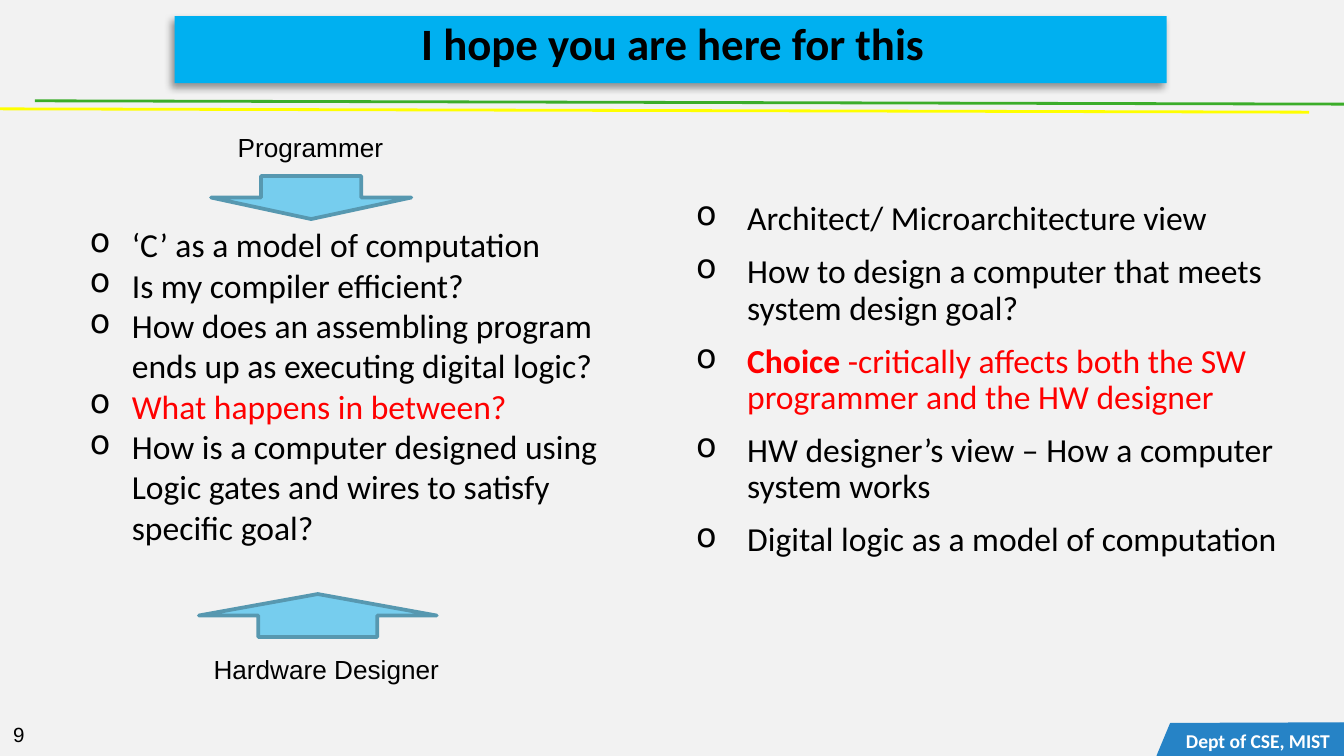
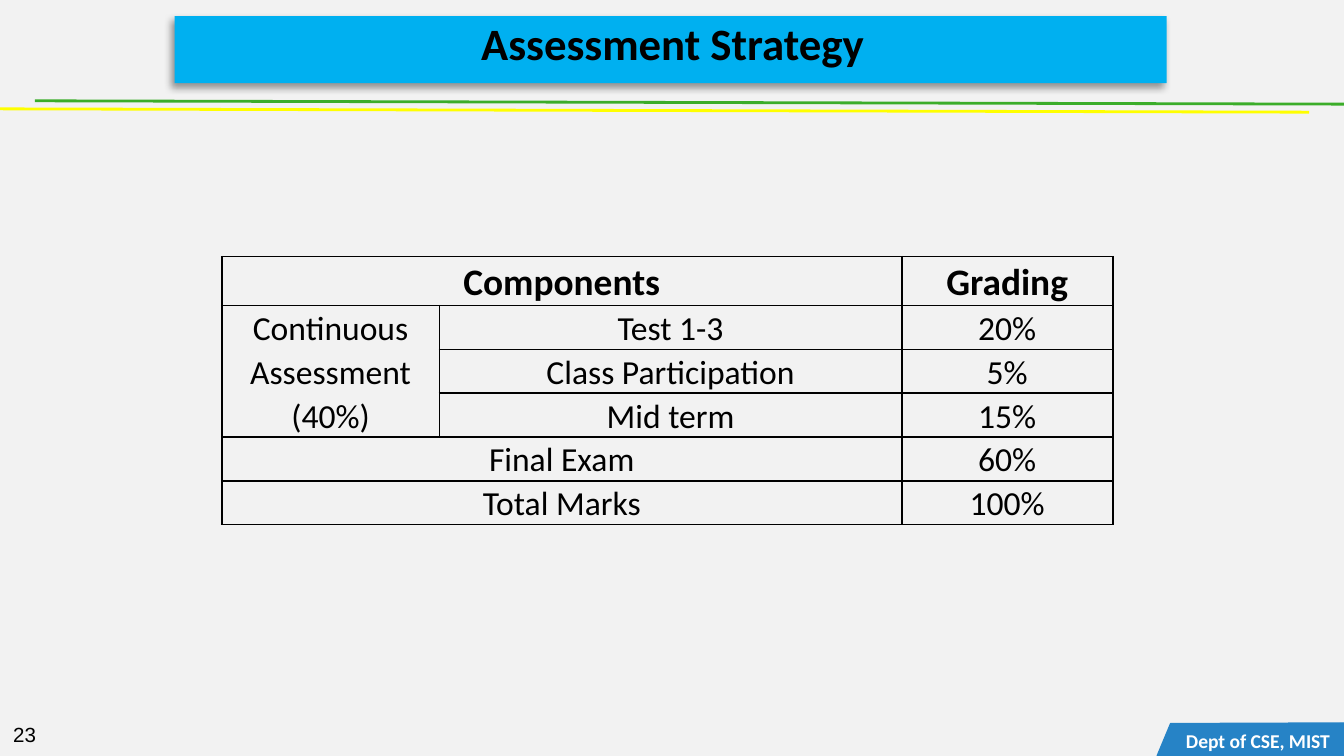
from dataclasses import dataclass

from lxml import etree
from pptx import Presentation
from pptx.dml.color import RGBColor
from pptx.enum.shapes import MSO_CONNECTOR, MSO_SHAPE
from pptx.enum.text import MSO_ANCHOR, MSO_AUTO_SIZE, PP_ALIGN
from pptx.oxml.ns import qn
from pptx.util import Inches, Pt

COLOURS = {
    "background": "F2F2F2",
    "text": "000000",
    "highlight": "FF0000",
    "band": "00B0F0",
    "upper_rule": "3BAD29",
    "lower_rule": "FFFF00",
    "footer": "2683C6",
    "footer_text": "FFFFFF",
    "arrow": "76CDEE",
    "arrow_edge": "5798B0",
}
HEADING_FONT = "Calibri"
LABEL_FONT = "Arial"

# Grid: square cells, 100 columns across the slide
CELL = Inches(0.1)
COLUMNS, ROWS = 100, 56.25


def cells(count):
    return round(count * CELL)


@dataclass
class Box:
    """A rectangle in grid columns and rows."""
    left: float
    top: float
    width: float
    height: float

    def inner(self, left, top, width, height):
        return Box(self.left + left, self.top + top, width, height)

    def emu(self):
        return [cells(n) for n in (self.left, self.top, self.width, self.height)]


PAGE = Box(0, 0, COLUMNS, ROWS)
HEADER = Box(0, 1.2, COLUMNS, 7.1)
FOOTER = Box(0, 53.2, COLUMNS, 3.05)


def rgb(name):
    return RGBColor.from_string(COLOURS[name])


def add_element(parent, tag, **attributes):
    return etree.SubElement(parent, qn(tag), attributes)


def format_runs(paragraph, size, font=HEADING_FONT, colour="text", bold=False):
    for run in paragraph.runs:
        run.font.name = font
        run.font.size = Pt(size)
        run.font.bold = bold
        run.font.color.rgb = rgb(colour)


def add_text_box(slide, box, insets=(1, 0.5), anchor=MSO_ANCHOR.TOP, wrap=True):
    text_frame = slide.shapes.add_textbox(*box.emu()).text_frame
    text_frame.word_wrap = wrap
    if not wrap:
        text_frame.auto_size = MSO_AUTO_SIZE.SHAPE_TO_FIT_TEXT
    text_frame.vertical_anchor = anchor
    text_frame.margin_left = text_frame.margin_right = cells(insets[0])
    text_frame.margin_top = text_frame.margin_bottom = cells(insets[1])
    return text_frame


def add_line_of_text(slide, box, text, size, align=PP_ALIGN.LEFT, spacing=1.0,
                     font=HEADING_FONT, colour="text", bold=False, **frame):
    text_frame = add_text_box(slide, box, **frame)
    text_frame.text = text
    paragraph = text_frame.paragraphs[0]
    paragraph.alignment = align
    paragraph.line_spacing = spacing
    format_runs(paragraph, size, font, colour, bold)


def paint(shape, fill, edge=None, width=1):
    shape.shadow.inherit = False
    shape.fill.solid()
    shape.fill.fore_color.rgb = rgb(fill)
    if edge:
        shape.line.color.rgb = rgb(edge)
        shape.line.width = Pt(width)
    else:
        shape.line.fill.background()


def add_rule(slide, box, colour):
    left, top, width, height = box.emu()
    rule = slide.shapes.add_connector(
        MSO_CONNECTOR.STRAIGHT, left, top, left + width, top + height)
    rule.line.color.rgb = rgb(colour)
    rule.line.width = Pt(1.5)
    add_element(rule._element.spPr, "a:effectLst")


def add_header(slide, box, title):
    # Two slightly sloping rules
    add_rule(slide, box.inner(2.6, 6.3, 97.4, 0.25), "upper_rule")
    add_rule(slide, box.inner(0, 6.9, 97.4, 0.25), "lower_rule")
    # Title band with its shadow
    band = slide.shapes.add_shape(MSO_SHAPE.RECTANGLE, *box.inner(13, 0, 73.8, 5).emu())
    paint(band, "band")
    shadow = add_element(
        band._element.spPr.find(qn("a:effectLst")), "a:outerShdw",
        blurRad=str(Pt(4)), dist=str(Pt(3)), dir=str(135 * 60000),
        algn="tr", rotWithShape="0")
    shadow_colour = add_element(shadow, "a:srgbClr", val=COLOURS["text"])
    add_element(shadow_colour, "a:alpha", val="40000")
    # Title
    add_line_of_text(slide, box.inner(14, 0.5, 72.1, 3.9), title, 24,
                     PP_ALIGN.CENTER, 0.85, bold=True, insets=(0.7, 0.4),
                     anchor=MSO_ANCHOR.BOTTOM)


def add_footer(slide, box, number):
    # Slide number
    add_line_of_text(slide, box.inner(0, 0, 5.3, 2.9), str(number), 11, font=LABEL_FONT)
    # Slanted department tab
    right, bottom = box.left + box.width, box.top + box.height
    corners = [(right - 13.9, bottom), (right - 12.9, bottom - 2.4),
               (right, bottom - 2.45), (right, bottom)]
    points = [(cells(x), cells(y)) for x, y in corners]
    builder = slide.shapes.build_freeform(*points[0])
    builder.add_line_segments(points[1:])
    paint(builder.convert_to_shape(), "footer", "footer", 0.75)
    add_line_of_text(slide, box.inner(87.2, 0.9, 12.8, 2), "Dept of CSE, MIST", 10.5,
                     PP_ALIGN.CENTER, colour="footer_text", bold=True,
                     insets=(0.5, 0), anchor=MSO_ANCHOR.MIDDLE)


def add_page(presentation, title, number):
    slide = presentation.slides.add_slide(presentation.slide_layouts[6])
    slide.background.fill.solid()
    slide.background.fill.fore_color.rgb = rgb("background")
    add_header(slide, HEADER, title)
    add_footer(slide, FOOTER, number)
    return slide


def add_bullets(slide, box, items, indent, hanging, insets=(1, 0.5), spacing=1.0, gap=0):
    """Each item is (text, colour, bold lead-in)."""
    text_frame = add_text_box(slide, box, insets)
    for index, (text, colour, lead) in enumerate(items):
        paragraph = text_frame.paragraphs[0] if index == 0 else text_frame.add_paragraph()
        properties = paragraph._p.get_or_add_pPr()
        properties.set("marL", str(cells(indent)))
        properties.set("indent", str(-cells(hanging)))
        bullet_colour = add_element(properties, "a:buClr")
        add_element(bullet_colour, "a:srgbClr", val=COLOURS["text"])
        add_element(properties, "a:buChar", char="o")
        for part in filter(None, (lead, text)):
            paragraph.add_run().text = part
        paragraph.line_spacing = spacing
        paragraph.space_before = Pt(gap if index else 0)
        format_runs(paragraph, 18, colour=colour)
        if lead:
            paragraph.runs[0].font.bold = True


def add_role(slide, arrow_box, arrow_kind, label_box, label):
    arrow = slide.shapes.add_shape(arrow_kind, *arrow_box.emu())
    paint(arrow, "arrow", "arrow_edge", 2)
    add_line_of_text(slide, label_box, label, 14, font=LABEL_FONT, wrap=False)


def add_views(slide, box):
    # Architect's view
    add_bullets(slide, box.inner(50.6, 14.6, 45, 34.3), [
        ("Architect/ Microarchitecture view", "text", ""),
        ("How to design a computer that meets system design goal?", "text", ""),
        (" -critically affects both the SW programmer and the HW designer",
         "highlight", "Choice"),
        ("HW designer’s view – How a computer system works", "text", ""),
        ("Digital logic as a model of computation", "text", ""),
    ], 5, 3.8, insets=(0, 0.4), spacing=0.9, gap=9)
    # Questions between programmer and hardware designer
    add_bullets(slide, box.inner(5.7, 16.2, 40.6, 25.2), [
        ("‘C’ as a model of computation", "text", ""),
        ("Is my compiler efficient?", "text", ""),
        ("How does an assembling program ends up as executing digital logic?", "text", ""),
        ("What happens in between?", "highlight", ""),
        ("How is a computer designed using Logic gates and wires to satisfy specific goal?",
         "text", ""),
    ], 3.13, 3.13)
    # Roles pointing at the questions
    add_role(slide, box.inner(15.7, 13.1, 14.9, 3.2), MSO_SHAPE.DOWN_ARROW,
             box.inner(16.7, 9.3, 12.9, 3.4), "Programmer")
    add_role(slide, box.inner(14.8, 44.2, 17.7, 3.2), MSO_SHAPE.UP_ARROW,
             box.inner(14.9, 48.1, 18.9, 3.4), "Hardware Designer")


def add_borders(cell):
    properties = cell._tc.get_or_add_tcPr()
    for position, side in enumerate(("a:lnL", "a:lnR", "a:lnT", "a:lnB")):
        border = etree.Element(qn(side), w=str(Pt(1)))
        fill = add_element(border, "a:solidFill")
        add_element(fill, "a:srgbClr", val=COLOURS["text"])
        properties.insert(position, border)


def add_grading_table(slide, box):
    rows = [
        ("Components", "", "Grading"),
        ("Continuous Assessment (40%)", "Test 1-3", "20%"),
        ("", "Class Participation", "5%"),
        ("", "Mid term", "15%"),
        ("Final Exam", "", "60%"),
        ("Total Marks", "", "100%"),
    ]
    table = slide.shapes.add_table(len(rows), 3, *box.emu()).table
    table.first_row = table.horz_banding = False
    for column, width in zip(table.columns, (16.2, 34.4, 15.7)):
        column.width = cells(width)
    header_height = 3.64
    body_height = (box.height - header_height) / (len(rows) - 1)
    for row_index, texts in enumerate(rows):
        header = row_index == 0
        table.rows[row_index].height = cells(header_height if header else body_height)
        for column_index, text in enumerate(texts):
            cell = table.cell(row_index, column_index)
            cell.fill.background()
            add_borders(cell)
            cell.vertical_anchor = MSO_ANCHOR.MIDDLE
            cell.margin_left = cell.margin_right = cells(0.7)
            cell.margin_top = cell.margin_bottom = 0
            cell.text_frame.text = text
            paragraph = cell.text_frame.paragraphs[0]
            paragraph.alignment = PP_ALIGN.CENTER
            paragraph.line_spacing = 1.07
            format_runs(paragraph, 20 if header else 18, bold=header)
    # Spanning cells
    for row_index in (0, 4, 5):
        table.cell(row_index, 0).merge(table.cell(row_index, 1))
    table.cell(1, 0).merge(table.cell(3, 0))


def main():
    presentation = Presentation()
    presentation.slide_width = cells(COLUMNS)
    presentation.slide_height = cells(ROWS)
    add_views(add_page(presentation, "I hope you are here for this", 9), PAGE)
    add_grading_table(add_page(presentation, "Assessment Strategy", 23),
                      PAGE.inner(16.5, 19.1, 66.3, 19.94))
    presentation.save("out.pptx")


if __name__ == "__main__":
    main()
